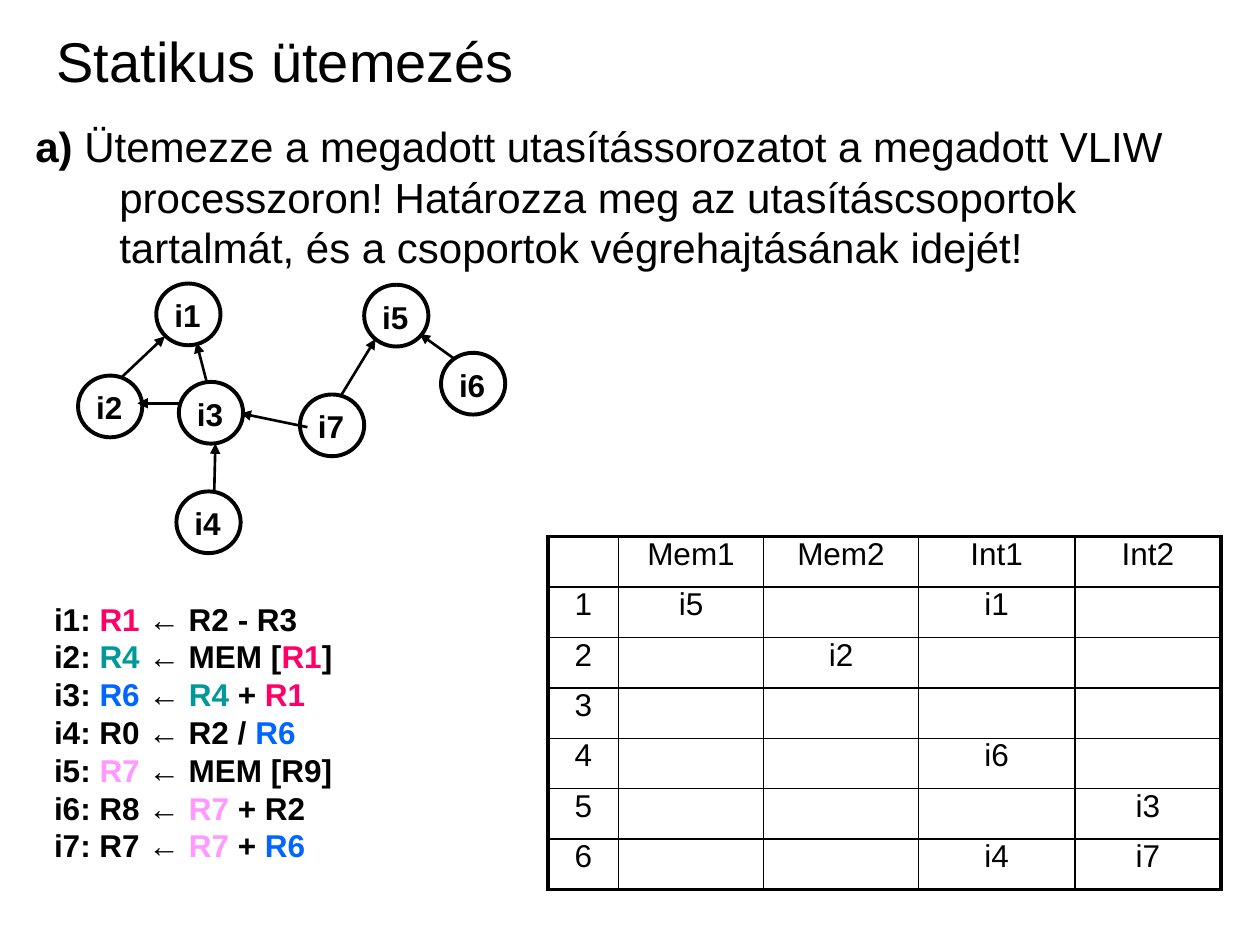
from lxml.etree import SubElement
from pptx import Presentation
from pptx.dml.color import RGBColor
from pptx.enum.shapes import MSO_CONNECTOR, MSO_SHAPE
from pptx.enum.text import MSO_ANCHOR, MSO_AUTO_SIZE, PP_ALIGN
from pptx.oxml.ns import qn
from pptx.util import Pt

BLACK = "000000"
REGISTERS = {"R1": "FF0066", "R4": "009999", "R6": "0066FF", "R7": "FF99FF"}
NODES = {
    "i1": (89.3, 162), "i2": (44.6, 214.6), "i3": (102.2, 218.2),
    "i5": (208.1, 162.7), "i7": (171.4, 225.4), "i6": (252, 201.6),
    "i4": (100.8, 280.8),
}
ARROWS = [
    (103, 230.4, 78.5, 230.4), (69.8, 215.3, 94.3, 192.2),
    (175.7, 244.1, 137.5, 236.2), (194.4, 226.8, 214.6, 193.7),
    (259.9, 205.2, 239.8, 190.8), (122.4, 281.5, 123.1, 253.4),
    (118.1, 218.2, 112.3, 195.8),
]
COLUMNS = [40.3, 82.8, 88.6, 89.3, 83.5]
SCHEDULE = [
    ["", "Mem1", "Mem2", "Int1", "Int2"],
    ["1", "i5", "", "i1", ""],
    ["2", "", "i2", "", ""],
    ["3", "", "", "", ""],
    ["4", "", "", "i6", ""],
    ["5", "", "", "", "i3"],
    ["6", "", "", "i4", "i7"],
]
PROGRAM = [
    "i1: *R1* ← R2 - R3",
    "i2: *R4* ← MEM [*R1*]",
    "i3: *R6* ← *R4* + *R1*",
    "i4: R0 ← R2 / *R6*",
    "i5: *R7* ← MEM [R9]",
    "i6: R8 ← *R7* + R2",
    "i7: R7 ← *R7* + *R6*",
]


def rgb(color):
    return RGBColor.from_string(color)


def place(sp, left, top, width, height):
    sp.left, sp.top, sp.width, sp.height = Pt(left), Pt(top), Pt(width), Pt(height)


def add_run(p, text, size, bold=False, color=BLACK):
    r = p.add_run()
    r.text = text
    r.font.name = "Arial"
    r.font.size = Pt(size)
    r.font.bold = bold
    r.font.color.rgb = rgb(color)


def set_margins(target, size):
    target.margin_left = target.margin_right = Pt(size)
    target.margin_top = target.margin_bottom = Pt(size)


def add_title(s, text):
    sp = s.shapes.title
    place(sp, 25.2, 15.1, 414, 38.9)
    tf = sp.text_frame
    tf.auto_size = MSO_AUTO_SIZE.NONE
    tf.vertical_anchor = MSO_ANCHOR.MIDDLE
    p = tf.paragraphs[0]
    p.alignment = PP_ALIGN.LEFT
    add_run(p, text, 32)


def add_task(s, label, text):
    sp = s.placeholders[1]
    place(sp, 13, 65.5, 691.2, 442.8)
    tf = sp.text_frame
    tf.auto_size = MSO_AUTO_SIZE.NONE
    p = tf.paragraphs[0]
    p.space_before = Pt(0)
    pPr = p._p.get_or_add_pPr()
    pPr.set("marL", str(Pt(48)))
    pPr.set("indent", str(-Pt(48)))
    SubElement(pPr, qn("a:buNone"))
    add_run(p, label, 24, True)
    add_run(p, text, 24)


def add_node(s, name, left, top):
    sp = s.shapes.add_shape(MSO_SHAPE.OVAL, Pt(left), Pt(top), Pt(36.7), Pt(35.3))
    sp.shadow.inherit = False
    sp.fill.background()
    sp.line.color.rgb = rgb(BLACK)
    sp.line.width = Pt(2.25)
    label = s.shapes.add_textbox(Pt(left + 10.3), Pt(top + 7.4), Pt(15.1), Pt(21.6))
    tf = label.text_frame
    tf.word_wrap = False
    set_margins(tf, 0)
    add_run(tf.paragraphs[0], name, 18, True)


def add_arrow(s, x1, y1, x2, y2):
    sp = s.shapes.add_connector(MSO_CONNECTOR.STRAIGHT, Pt(x1), Pt(y1), Pt(x2), Pt(y2))
    sp.line.color.rgb = rgb(BLACK)
    sp.line.width = Pt(1.5)
    spPr = sp._element.spPr
    SubElement(spPr.find(qn("a:ln")), qn("a:tailEnd"), type="triangle")
    SubElement(spPr, qn("a:effectLst"))


def set_borders(cell, outer):
    tcPr = cell._tc.get_or_add_tcPr()
    for side in "LRTB":
        width = 2.25 if outer[side] else 1
        ln = SubElement(tcPr, qn(f"a:ln{side}"), w=str(Pt(width)))
        fill = SubElement(ln, qn("a:solidFill"))
        SubElement(fill, qn("a:srgbClr"), val=BLACK)


def add_schedule(s, rows, widths):
    last_row, last_col = len(rows) - 1, len(widths) - 1
    frame = s.shapes.add_table(len(rows), len(widths), Pt(313.2), Pt(306.7),
                               Pt(sum(widths)), Pt(28.8 * len(rows)))
    table = frame.table
    for col, width in zip(table.columns, widths):
        col.width = Pt(width)
    for i, row in enumerate(rows):
        for j, text in enumerate(row):
            cell = table.cell(i, j)
            set_borders(cell, {"L": j == 0, "R": j == last_col,
                               "T": i == 0, "B": i == last_row})
            cell.fill.background()
            set_margins(cell, 0)
            if text:
                p = cell.text_frame.paragraphs[0]
                p.alignment = PP_ALIGN.CENTER
                add_run(p, text, 18)


def add_program(s, lines):
    sp = s.shapes.add_textbox(Pt(23.8), Pt(339.1), Pt(228.2), Pt(158.4))
    tf = sp.text_frame
    tf.word_wrap = True
    for i, line in enumerate(lines):
        p = tf.add_paragraph() if i else tf.paragraphs[0]
        for part in filter(None, line.split("*")):
            add_run(p, part, 18, True, REGISTERS.get(part, BLACK))


def main():
    prs = Presentation()
    prs.slide_width, prs.slide_height = Pt(720), Pt(540)
    s = prs.slides.add_slide(prs.slide_layouts[1])
    add_title(s, "Statikus ütemezés")
    add_task(s, "a) ", "Ütemezze a megadott utasítássorozatot a megadott VLIW "
             "processzoron! Határozza meg az utasításcsoportok tartalmát, "
             "és a csoportok végrehajtásának idejét!")
    for name, (left, top) in NODES.items():
        add_node(s, name, left, top)
    for ends in ARROWS:
        add_arrow(s, *ends)
    add_schedule(s, SCHEDULE, COLUMNS)
    add_program(s, PROGRAM)
    prs.save("out.pptx")


if __name__ == "__main__":
    main()
